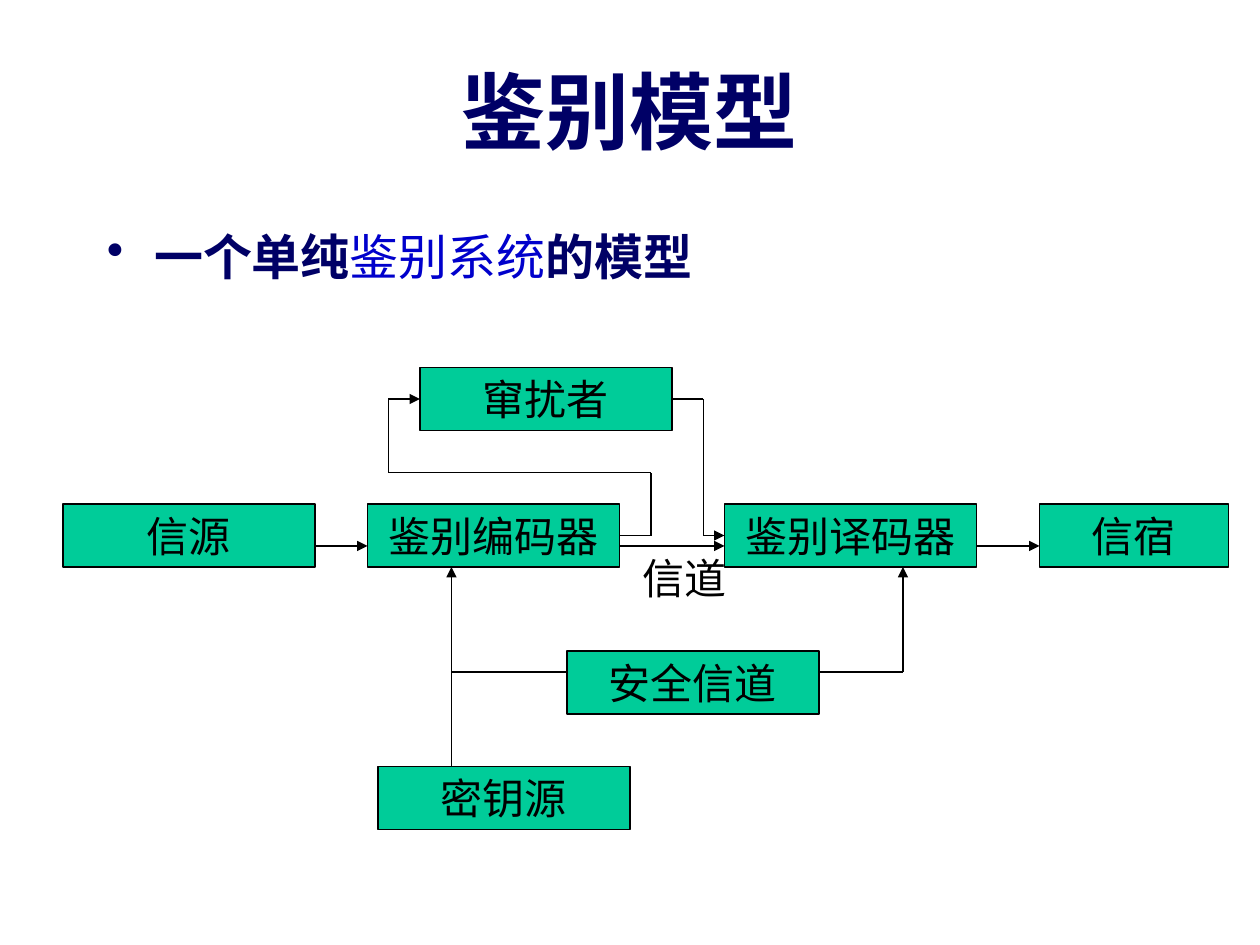
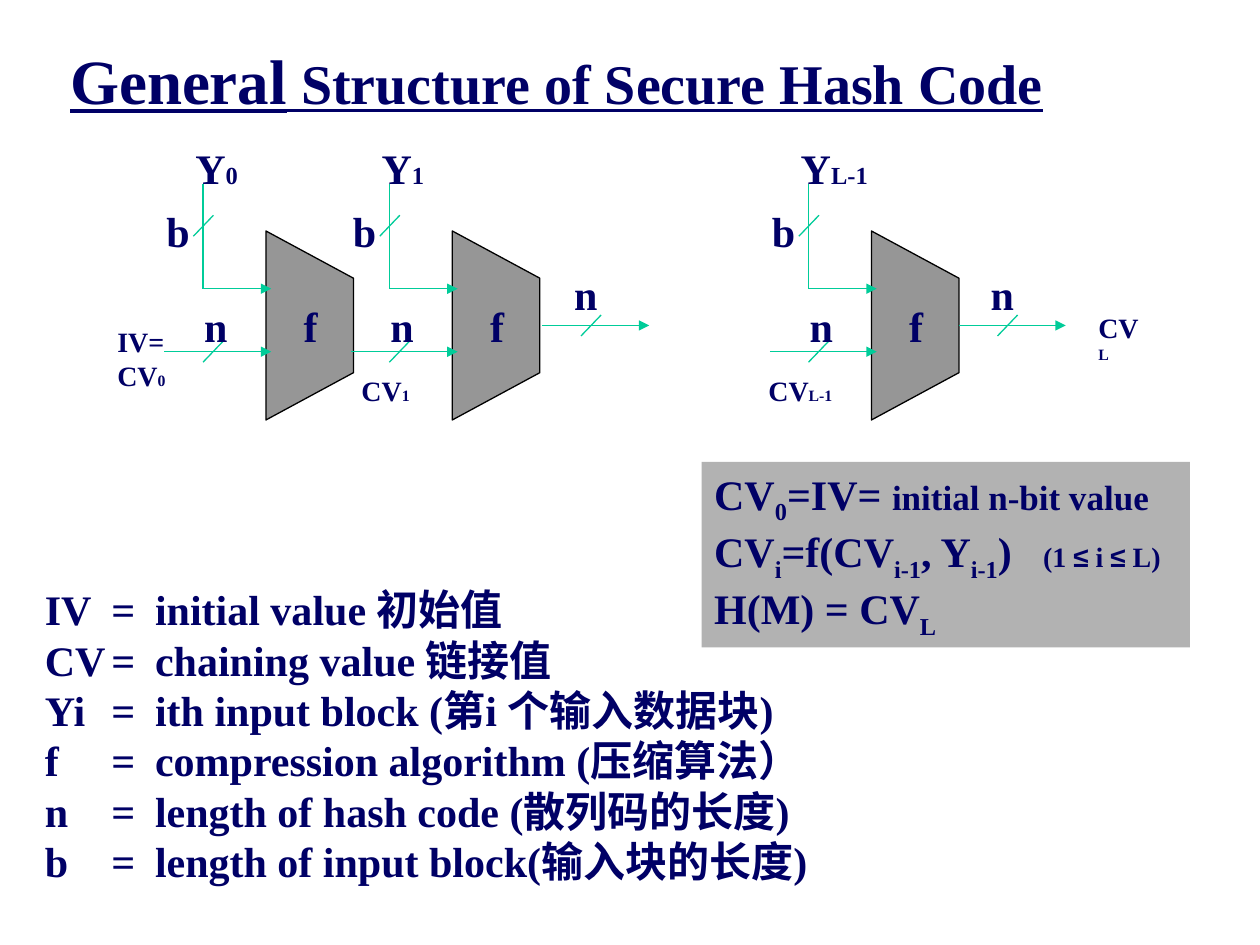
import pptx
import pptx.dml.color
import pptx.enum.shapes
import pptx.enum.text
import pptx.oxml
import pptx.oxml.ns
import pptx.util

Pt = pptx.util.Pt
NAVY, BLUE, BLACK = "000066", "0000CC", "000000"
GREEN, GREY, PALE = "00CC99", "969696", "B2B2B2"
SUB = {"base": -25000}


def color(code):
    return pptx.dml.color.RGBColor.from_string(code)


def node(parent, tag, **attrs):
    part = pptx.oxml.parse_xml(f"<a:{tag} {pptx.oxml.ns.nsdecls('a')}/>")
    for key, value in attrs.items():
        part.set(key, str(value))
    parent.append(part)
    return part


class Deck:
    font = "Times New Roman"
    width = 0.75

    def __init__(self):
        self.show = pptx.Presentation()
        self.show.slide_width, self.show.slide_height = Pt(720), Pt(540)
        self.slide = None

    def page(self):
        self.slide = self.show.slides.add_slide(self.show.slide_layouts[6])

    def letter(self, shape, lines, ink=NAVY, bold=True, center=False,
               tabs=(), wrap=True):
        """Each line is a list of (text, size) or (text, size, style) runs."""
        frame = shape.text_frame
        frame.word_wrap = wrap
        if not wrap:
            frame.auto_size = pptx.enum.text.MSO_AUTO_SIZE.SHAPE_TO_FIT_TEXT
        anchor = pptx.enum.text.MSO_ANCHOR
        frame.vertical_anchor = anchor.MIDDLE if center else anchor.TOP
        align = pptx.enum.text.PP_ALIGN
        for i, line in enumerate(lines):
            para = frame.add_paragraph() if i else frame.paragraphs[0]
            para.alignment = align.CENTER if center else align.LEFT
            if tabs:
                stops = node(para._p.get_or_add_pPr(), "tabLst")
                for stop in tabs:
                    node(stops, "tab", pos=Pt(stop), algn="l")
            for text, size, *rest in line:
                style = rest[0] if rest else {}
                run = para.add_run()
                run.text = text
                run.font.size = Pt(size)
                run.font.name = style.get("font", self.font)
                run.font.bold = style.get("bold", bold)
                run.font.underline = style.get("under", False)
                run.font.color.rgb = color(style.get("ink", ink))
                if "base" in style:
                    run._r.get_or_add_rPr().set("baseline", str(style["base"]))

    def text(self, x, y, w, h, lines, **style):
        box = self.slide.shapes.add_textbox(Pt(x), Pt(y), Pt(w), Pt(h))
        self.letter(box, lines, **style)
        return box

    def label(self, x, y, w, h, *runs):
        self.text(x, y, w, h, [runs], wrap=False)

    def paint(self, shape, fill, edge=BLACK):
        shape.shadow.inherit = False
        shape.fill.solid()
        shape.fill.fore_color.rgb = color(fill)
        if edge:
            shape.line.color.rgb = color(edge)
            shape.line.width = Pt(self.width)
        else:
            shape.line.fill.background()

    def box(self, x, y, w, h, fill, lines, edge=BLACK, **style):
        kind = pptx.enum.shapes.MSO_SHAPE.RECTANGLE
        shape = self.slide.shapes.add_shape(kind, Pt(x), Pt(y), Pt(w), Pt(h))
        self.paint(shape, fill, edge)
        self.letter(shape, lines, **style)

    def shape(self, points, fill):
        first, *rest = [(Pt(x), Pt(y)) for x, y in points]
        outline = self.slide.shapes.build_freeform(*first)
        outline.add_line_segments(rest, close=True)
        self.paint(outline.convert_to_shape(), fill)

    def line(self, points, ink, arrow=True):
        """Join the points by straight lines, with the arrow on the last."""
        for i, (start, end) in enumerate(zip(points, points[1:]), 2):
            wire = self.slide.shapes.add_connector(
                pptx.enum.shapes.MSO_CONNECTOR.STRAIGHT,
                *(Pt(v) for v in (*start, *end)))
            wire.line.color.rgb = color(ink)
            wire.line.width = Pt(self.width)
            if arrow and i == len(points):
                node(wire._element.spPr.get_or_add_ln(), "tailEnd",
                     type="triangle")
            node(wire._element.spPr, "effectLst")


def model(deck):
    deck.page()
    deck.text(48, 18, 624, 90, [[("鉴别模型", 48)]], center=True)

    # Bullet line
    body = deck.text(54, 126, 612, 354, [[
        ("一个单纯", 28), ("鉴别系统", 28, {"ink": BLUE, "bold": False}),
        ("的模型", 28)]])
    props = body.text_frame.paragraphs[0]._p.get_or_add_pPr()
    props.set("marL", str(Pt(27)))
    props.set("indent", str(Pt(-27)))
    node(props, "buChar", char="•")

    # Blocks
    for name, x, y, w in [
            ("窜扰者", 240, 210, 144), ("信宿", 594, 288, 108),
            ("信源", 36, 288, 144), ("鉴别编码器", 210, 288, 144),
            ("鉴别译码器", 414, 288, 144), ("安全信道", 324, 372, 144),
            ("密钥源", 216, 438, 144)]:
        deck.box(x, y, w, 36, GREEN, [[(name, 24)]], ink=BLACK, bold=False,
                 center=True)
    deck.text(360, 312, 90, 36, [[("信道", 24)]], ink=BLACK, bold=False)

    # Main channel
    for start, end in [(180, 210), (354, 414), (558, 594)]:
        deck.line([(start, 312), (end, 312)], BLACK)

    # Way through the intruder
    deck.line([(354, 306), (372, 306), (372, 270), (222, 270), (222, 228),
               (240, 228)], BLACK)
    deck.line([(384, 228), (402, 228), (402, 306), (414, 306)], BLACK)

    # Keys
    deck.line([(258, 438), (258, 324)], BLACK)
    deck.line([(258, 384), (324, 384)], BLACK, arrow=False)
    deck.line([(468, 384), (516, 384), (516, 324)], BLACK)


def slash(deck, x, y):
    deck.line([(x, y + 6), (x + 11.5, y - 6)], GREEN, arrow=False)


def flow(deck, x, y, dx, dy):
    """An n-bit arrow, with its label moved by dx and dy."""
    deck.line([(x, y), (x + 61, y)], GREEN)
    slash(deck, x + 22, y)
    deck.label(x + dx, y - dy, 27, 36, ("n", 24))


def stage(deck, x, mark, w):
    deck.shape([(x, 132), (x + 50, 159), (x + 50, 213), (x, 240)], GREY)
    deck.line([(x - 36, 105), (x - 36, 165), (x + 3, 165)], GREEN)
    slash(deck, x - 41.5, 129)
    flow(deck, x - 58, 201, 15.5, 33)
    deck.label(x - 64, 114, 27, 36, ("b", 24))
    deck.label(x - 47.5, 78, w, 36, ("Y", 24), (mark, 14))
    deck.label(x + 14.5, 168, 22, 36, ("f", 24))


def hash_code(deck):
    deck.page()
    under = {"under": True}
    deck.label(33, 20, 572, 50, ("General", 36, under),
               (" Structure of Secure Hash Code", 32, under))

    # Chain of stages
    for x, mark, w in [(152, "0", 39), (258.5, "1", 39), (498, "L-1", 53)]:
        stage(deck, x, mark, w)
    for x in (310, 548):
        flow(deck, x, 186, 11, 36)

    # Chaining values
    deck.text(60, 182, 42, 46, [[("IV=", 16)], [("CV", 16), ("0", 9)]],
              wrap=False)
    for x, y, mark, w in [(199.5, 210, "1", 42), (432, 210, "L-1", 51),
                          (620.5, 174, "L", 43)]:
        deck.label(x, y, w, 27, ("CV", 16), (mark, 9))

    # Legend
    terms = [("IV", "initial value 初始值"), ("CV", "chaining value 链接值"),
             ("Yi", "ith input block (第i 个输入数据块)"),
             ("f", "compression algorithm (压缩算法）"),
             ("n", "length of hash code (散列码的长度)"),
             ("b", "length of input block(输入块的长度)")]
    deck.text(18.5, 330, 480, 180,
              [[(f"{key}\t=\t{term}", 24)] for key, term in terms],
              tabs=(38, 63))

    # Formulas
    sign = ("≤", 16, {"font": "Arial"})
    deck.box(401, 264, 279, 106, PALE, [
        [("CV", 24), ("0", 24, SUB), ("=IV= ", 24),
         ("initial n-bit value", 20)],
        [("CV", 24), ("i", 24, SUB), ("=f(CV", 24), ("i-1", 24, SUB),
         (", Y", 24), ("i-1", 24, SUB), (")\t", 24), ("(1 ", 16), sign,
         (" i ", 16), sign, (" L)", 16)],
        [("H(M) = CV", 24), ("L", 24, SUB)]], edge=None, tabs=(188,))


def main():
    deck = Deck()
    model(deck)
    hash_code(deck)
    deck.show.save("out.pptx")


if __name__ == "__main__":
    main()
